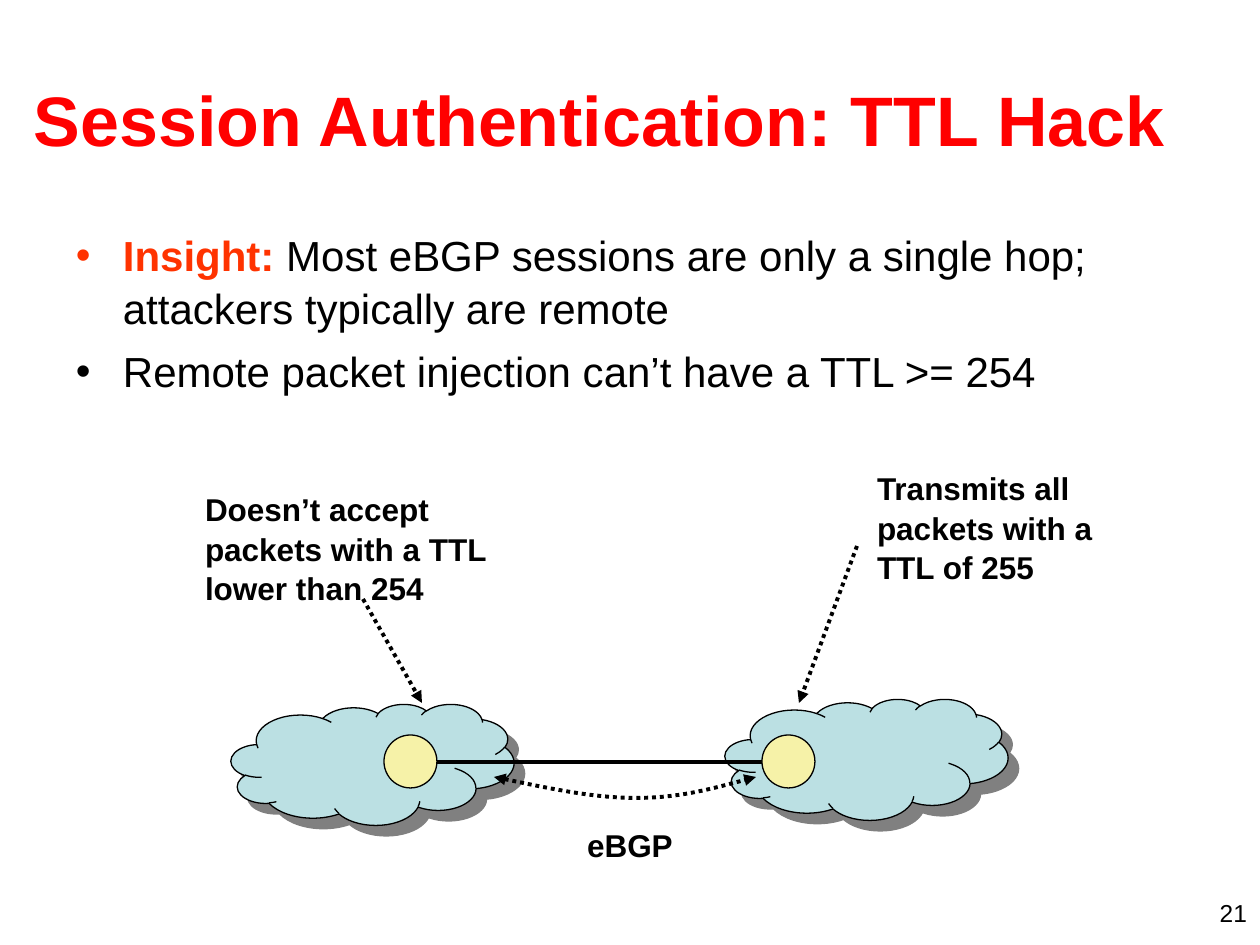
from lxml import etree
from pptx import Presentation
from pptx.dml.color import RGBColor
from pptx.enum.dml import MSO_LINE
from pptx.enum.shapes import MSO_CONNECTOR, MSO_SHAPE
from pptx.enum.text import MSO_ANCHOR, MSO_AUTO_SIZE, PP_ALIGN
from pptx.oxml.ns import qn
from pptx.util import Emu, Pt

STRAIGHT = MSO_CONNECTOR.STRAIGHT
CLOUD, CIRCLE = MSO_SHAPE.CLOUD, MSO_SHAPE.OVAL
DOTTED = MSO_LINE.ROUND_DOT
TOP, MIDDLE = MSO_ANCHOR.TOP, MSO_ANCHOR.MIDDLE
LEFT, RIGHT = PP_ALIGN.LEFT, PP_ALIGN.RIGHT
GROW, FIXED = MSO_AUTO_SIZE.SHAPE_TO_FIT_TEXT, MSO_AUTO_SIZE.NONE

PX_PER_INCH = 126
FONT = "Arial"
BLACK, RED, ORANGE = "000000", "FF0000", "FF3300"
CLOUD_BLUE, ROUTER_YELLOW, SHADOW_GREY = "BBE0E3", "F6F2A8", "808080"


def px(length):
    return Emu(round(length * 914400 / PX_PER_INCH))


def color(value):
    return RGBColor.from_string(value)


def sub(parent, tag, **attributes):
    return etree.SubElement(parent, qn(tag), attributes)


def add_text(slide, box, paragraphs, size, anchor=TOP, align=LEFT,
             insets=(13, 6), wrap=True, spacing=1.0):
    """Each paragraph is a list of (text, colour, bold) runs."""
    holder = slide.shapes.add_textbox(*map(px, box))
    frame = holder.text_frame
    frame.word_wrap = wrap
    frame.auto_size = FIXED if wrap else GROW
    frame.vertical_anchor = anchor
    frame.margin_left = frame.margin_right = px(insets[0])
    frame.margin_top = frame.margin_bottom = px(insets[1])
    for index, runs in enumerate(paragraphs):
        paragraph = frame.add_paragraph() if index else frame.paragraphs[0]
        paragraph.alignment = align
        paragraph.line_spacing = spacing
        for text, ink, bold in runs:
            run = paragraph.add_run()
            run.text = text
            run.font.name, run.font.size, run.font.bold = FONT, Pt(size), bold
            run.font.color.rgb = color(ink)
    return frame


def set_line(shape, width, dotted=False):
    shape.line.color.rgb = color(BLACK)
    shape.line.width = Pt(width)
    if dotted:
        shape.line.dash_style = DOTTED


def add_arrowheads(shape, *ends):
    line = shape.line._get_or_add_ln()
    for end in ends:
        sub(line, end, type="triangle")


def add_line(slide, start, end, dotted=False):
    line = slide.shapes.add_connector(STRAIGHT, *map(px, (*start, *end)))
    set_line(line, 2.25, dotted)
    if dotted:
        add_arrowheads(line, "a:tailEnd")
    sub(line._element.spPr, "a:effectLst")


def add_filled(slide, kind, box, fill):
    shape = slide.shapes.add_shape(kind, *map(px, box))
    shape.shadow.inherit = False
    shape.fill.solid()
    shape.fill.fore_color.rgb = color(fill)
    set_line(shape, 0.75)
    return shape


def add_cloud(slide, box):
    cloud = add_filled(slide, CLOUD, box, CLOUD_BLUE)
    effects = cloud._element.spPr.find(qn("a:effectLst"))
    shadow = sub(effects, "a:outerShdw", dist=str(Pt(8.5)), dir="2700000",
                 algn="ctr", rotWithShape="0")
    sub(shadow, "a:srgbClr", val=SHADOW_GREY)


def add_session_curve(slide, points):
    """A start point, then three Bezier points for each piece."""
    start, *rest = [(px(x), px(y)) for x, y in points]
    builder = slide.shapes.build_freeform(*start)
    builder.add_line_segments(rest, close=False)
    curve = builder.convert_to_shape()
    curve.shadow.inherit = False
    curve.fill.background()
    set_line(curve, 2.25, dotted=True)
    add_arrowheads(curve, "a:headEnd", "a:tailEnd")
    # Regroup the straight segments into cubic pieces
    outline = curve._element.spPr.find(".//" + qn("a:path"))
    segments = outline.findall(qn("a:lnTo"))
    for first in range(0, len(segments), 3):
        piece = sub(outline, "a:cubicBezTo")
        for segment in segments[first:first + 3]:
            piece.append(segment[0])
            outline.remove(segment)


def heading(slide, box):
    add_text(slide, box, [[("Session Authentication: TTL Hack", RED, True)]],
             40, anchor=MIDDLE)


def key_points(slide, box):
    points = [
        [("Insight:", ORANGE, True),
         (" Most eBGP sessions are only a single hop; attackers typically are remote",
          BLACK, False)],
        [("Remote packet injection can’t have a TTL >= 254", BLACK, False)],
    ]
    frame = add_text(slide, box, points, 24, spacing=1.05)
    for index, (paragraph, runs) in enumerate(zip(frame.paragraphs, points)):
        if index:
            paragraph.space_before = Pt(6)
        properties = paragraph._p.get_or_add_pPr()
        properties.set("marL", str(px(47)))
        properties.set("indent", str(-px(47)))
        bullet_color = sub(properties, "a:buClr")
        sub(bullet_color, "a:srgbClr", val=runs[0][1])
        sub(properties, "a:buFont", typeface=FONT)
        sub(properties, "a:buChar", char="•")


def ttl_diagram(slide, box):
    left, top = box[:2]

    def at(x, y):
        return left + x, top + y

    def label(x, y, width, height, *lines):
        add_text(slide, (*at(x, y), width, height),
                 [[(line, BLACK, True)] for line in lines],
                 18, insets=(10, 5), wrap=False, spacing=1.05)

    # Networks and the link between their routers
    for x, y in ((530, 237), (36, 242)):
        add_cloud(slide, (*at(x, y), 283, 121))
    add_line(slide, at(236, 300), at(572, 300))

    # Session
    add_session_curve(slide, [at(*point) for point in (
        (299, 315), (348, 325), (398, 336), (441, 336),
        (485, 336), (523, 325), (561, 315))])
    label(382, 357, 106, 48, "eBGP")

    # Rules at each end
    label(672, 0, 236, 123, "Transmits all", "packets with a", "TTL of 255")
    label(0, 21, 311, 123, "Doesn’t accept", "packets with a TTL", "lower than 254")
    add_line(slide, at(662, 84), at(604, 241), dotted=True)
    add_line(slide, at(168, 137), at(227, 241), dotted=True)

    # Routers
    for x in (189, 567):
        add_filled(slide, CIRCLE, (*at(x, 273), 53, 53), ROUTER_YELLOW)


def page_number(slide, box):
    add_text(slide, box, [[("21", BLACK, False)]], 14, align=RIGHT)


def main():
    deck = Presentation()
    deck.slide_width, deck.slide_height = px(1260), px(945)
    slide = deck.slides.add_slide(deck.slide_layouts[6])
    heading(slide, (21, 40, 1207, 158))
    key_points(slide, (63, 221, 1134, 210))
    ttl_diagram(slide, (195, 462, 908, 405))
    page_number(slide, (966, 892, 294, 32))
    deck.save("out.pptx")


if __name__ == "__main__":
    main()
